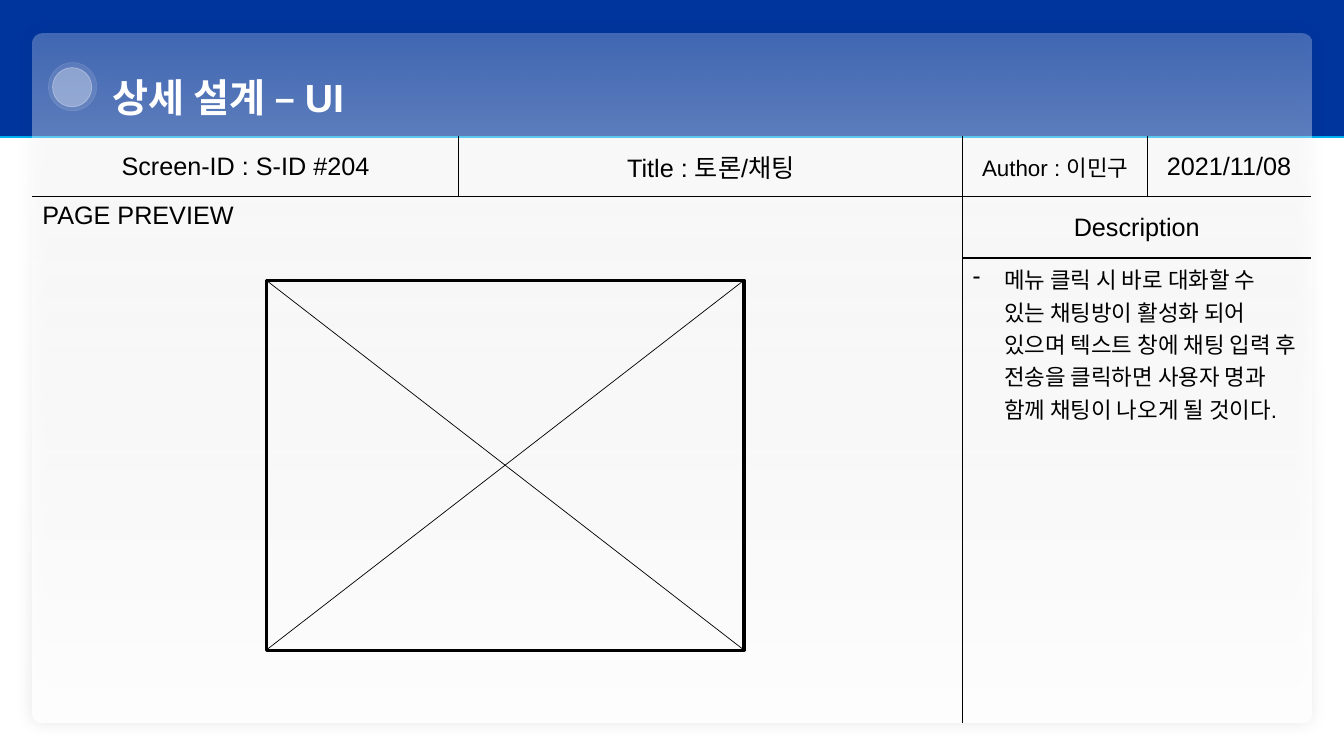
from lxml.etree import SubElement
from pptx import Presentation
from pptx.dml.color import RGBColor
from pptx.enum.shapes import MSO_CONNECTOR, MSO_SHAPE
from pptx.enum.text import MSO_ANCHOR, MSO_AUTO_SIZE, PP_ALIGN
from pptx.oxml import parse_xml
from pptx.oxml.ns import nsdecls, qn
from pptx.util import Inches, Pt

NS = nsdecls("a")
PLAIN = "{2D5ABB26-0587-4C30-8999-92F81FD0307C}"


def color(code):
    return RGBColor.from_string(code)


def fade(fill, alpha):
    tint = fill._xPr.find(qn("a:solidFill"))[0]
    SubElement(tint, qn("a:alpha"), val=str(alpha * 1000))


def shape(slide, kind, box, fill=None, alpha=100, line=None, width=1, edge=100):
    item = slide.shapes.add_shape(kind, *[Inches(n) for n in box])
    item.shadow.inherit = False
    if fill:
        item.fill.solid()
        item.fill.fore_color.rgb = color(fill)
        fade(item.fill, alpha)
    else:
        item.fill.background()
    if line:
        item.line.color.rgb = color(line)
        item.line.width = Pt(width)
        fade(item.line.fill, edge)
    else:
        item.line.fill.background()
    return item


def rule(slide, start, end, code, width):
    ends = [Inches(n) for n in (*start, *end)]
    item = slide.shapes.add_connector(MSO_CONNECTOR.STRAIGHT, *ends)
    item.line.color.rgb = color(code)
    item.line.width = Pt(width)
    SubElement(item._element.spPr, qn("a:effectLst"))


def panel(slide, box):
    item = shape(slide, MSO_SHAPE.ROUNDED_RECTANGLE, box)
    item.adjustments[0] = 0.013
    props = item._element.spPr
    props.replace(props.find(qn("a:noFill")), parse_xml(
        f'<a:gradFill {NS}><a:gsLst>'
        '<a:gs pos="0"><a:srgbClr val="FFFFFF"><a:alpha val="26000"/></a:srgbClr></a:gs>'
        '<a:gs pos="100000"><a:srgbClr val="FFFFFF"/></a:gs>'
        '</a:gsLst><a:lin ang="5400000" scaled="0"/></a:gradFill>'))
    props.find(qn("a:effectLst")).append(parse_xml(
        f'<a:outerShdw {NS} blurRad="{Pt(12)}" dist="0" dir="0" algn="ctr" rotWithShape="0">'
        '<a:srgbClr val="000000"><a:alpha val="10000"/></a:srgbClr></a:outerShdw>'))


def style(par, size, code, bold=False):
    for run in par.runs:
        run.font.name = "Arial"
        run.font.size = Pt(size)
        run.font.bold = bold
        run.font.color.rgb = color(code)


def title(slide, text, box):
    frame = slide.shapes.add_textbox(*[Inches(n) for n in box]).text_frame
    frame.word_wrap = True
    frame.auto_size = MSO_AUTO_SIZE.SHAPE_TO_FIT_TEXT
    frame.text = text
    par = frame.paragraphs[0]
    par.line_spacing = 1.5
    style(par, 28, "FFFFFF", True)


def bullet(par, mark):
    props = par._p.get_or_add_pPr()
    props.set("marL", str(Inches(0.31)))
    props.set("indent", str(-Inches(0.31)))
    SubElement(props, qn("a:buFontTx"))
    SubElement(props, qn("a:buChar"), char=mark)


def border(cell, sides):
    props = cell._tc.get_or_add_tcPr()
    for side, shown in sides.items():
        paint = '<a:solidFill><a:srgbClr val="000000"/></a:solidFill>' if shown else "<a:noFill/>"
        props.append(parse_xml(f'<a:ln{side} {NS} w="{Pt(1)}">{paint}</a:ln{side}>'))


def sheet(slide, spot, cols, rows, spans, texts):
    area = [Inches(n) for n in (*spot, sum(cols), sum(rows))]
    table = slide.shapes.add_table(len(rows), len(cols), *area).table
    table._tbl.tblPr.find(qn("a:tableStyleId")).text = PLAIN
    table.first_row = table.horz_banding = False
    for col, width in zip(table.columns, cols):
        col.width = Inches(width)
    for row, height in zip(table.rows, rows):
        row.height = Inches(height)
    for first, last in spans:
        table.cell(*first).merge(table.cell(*last))
    for r in range(len(rows)):
        for c in range(len(cols)):
            cell = table.cell(r, c)
            if not cell.is_spanned:
                border(cell, {"L": c > 0, "R": c + cell.span_width < len(cols),
                              "T": r > 0, "B": r + cell.span_height < len(rows)})
            cell.fill.background()
    for place, (text, size, mid) in texts.items():
        cell = table.cell(*place)
        cell.text_frame.text = text
        par = cell.text_frame.paragraphs[0]
        if mid:
            cell.vertical_anchor = MSO_ANCHOR.MIDDLE
            par.alignment = PP_ALIGN.CENTER
        style(par, size, "000000")
    return table


def main():
    deck = Presentation()
    deck.slide_width, deck.slide_height = Inches(13.33), Inches(7.5)
    slide = deck.slides.add_slide(deck.slide_layouts[6])

    shape(slide, MSO_SHAPE.RECTANGLE, (0, 0, 13.33, 1.35), "00359D")
    rule(slide, (0, 1.36), (13.33, 1.36), "00B0F0", 1.5)
    panel(slide, (0.32, 0.33, 12.69, 6.84))
    shape(slide, MSO_SHAPE.OVAL, (0.48, 0.62, 0.48, 0.48), "FFFFFF", 10, "FFFFFF", 0.5, 10)
    shape(slide, MSO_SHAPE.OVAL, (0.52, 0.67, 0.39, 0.39), "FFFFFF", 30, "FFFFFF", 0.5, 35)
    title(slide, "상세 설계 – UI", (1.02, 0.44, 8.83, 0.72))

    table = sheet(
        slide, (0.32, 1.35), (4.23, 5, 1.83, 1.62), (0.6, 0.61, 4.61),
        [((1, 0), (2, 1)), ((1, 2), (1, 3)), ((2, 2), (2, 3))],
        {
            (0, 0): ("Screen-ID : S-ID #204", 18, True),
            (0, 1): ("Title : 토론/채팅", 18, True),
            (0, 2): ("Author : 이민구", 16, True),
            (0, 3): ("2021/11/08", 18, True),
            (1, 0): ("PAGE PREVIEW", 18, False),
            (1, 2): ("Description", 18, True),
            (2, 2): ("메뉴 클릭 시 바로 대화할 수 있는 채팅방이 활성화 되어 있으며 "
                     "텍스트 창에 채팅 입력 후 전송을 클릭하면 사용자 명과 함께 "
                     "채팅이 나오게 될 것이다.", 16, False),
        })
    bullet(table.cell(2, 2).text_frame.paragraphs[0], "-")

    left, top, wide, high = 2.64, 2.78, 4.74, 3.67
    right, base = left + wide, top + high
    shape(slide, MSO_SHAPE.RECTANGLE, (left, top, wide, high), line="000000", width=2.25)
    rule(slide, (left, top), (right, base), "000000", 0.5)
    rule(slide, (right, top), (left, base), "000000", 0.5)
    deck.save("out.pptx")


if __name__ == "__main__":
    main()
